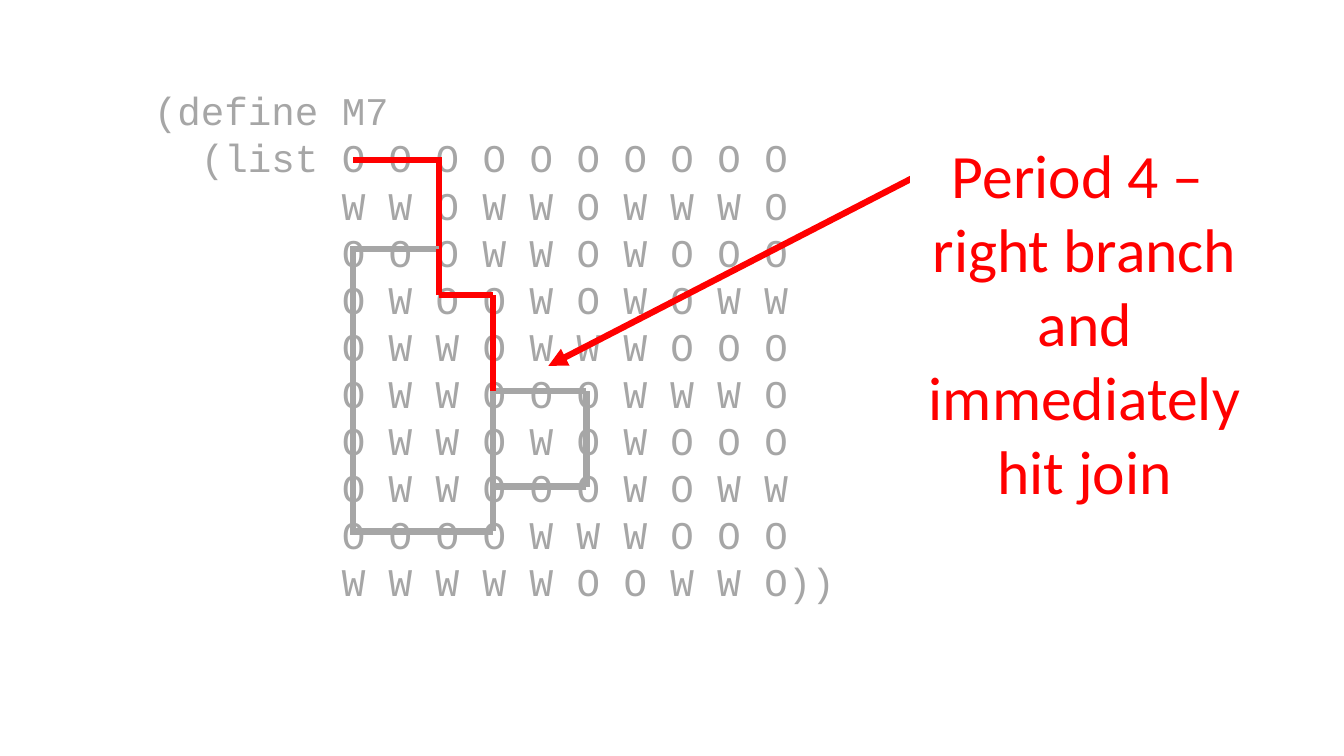
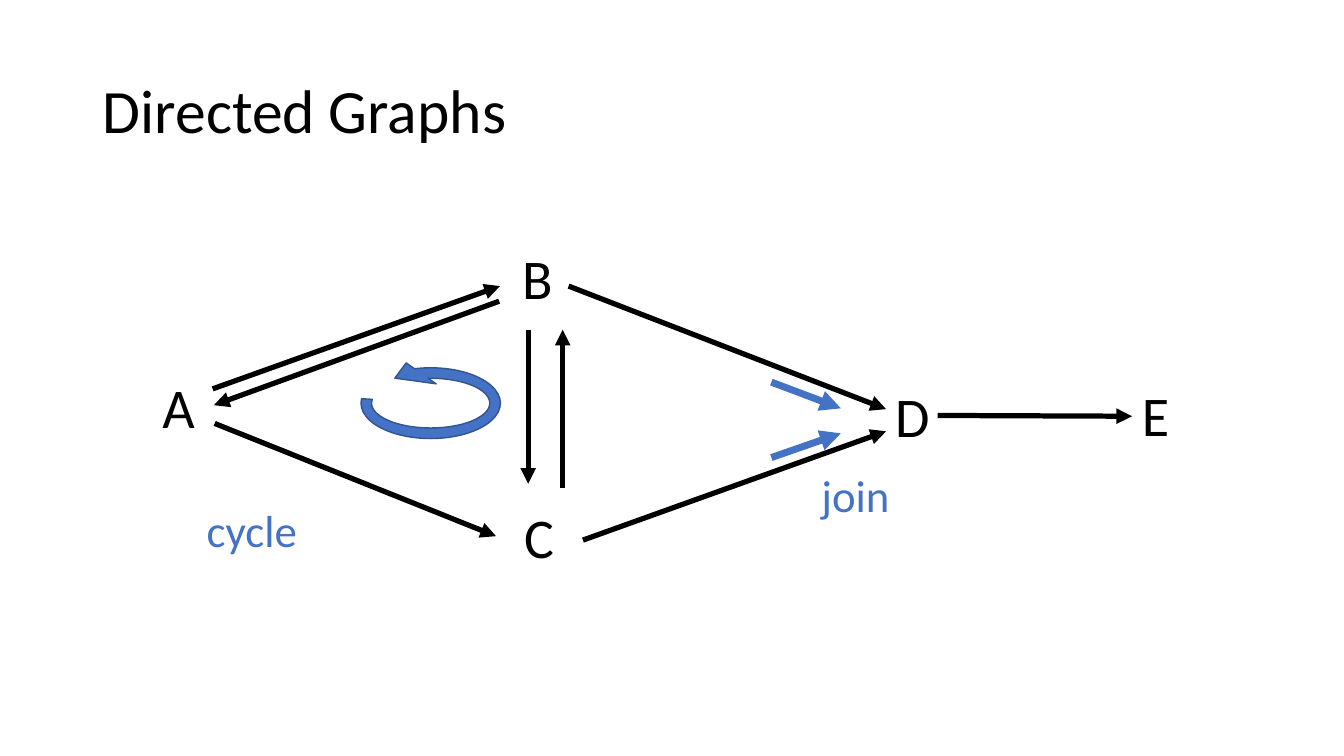
import pptx
import pptx.dml.color
import pptx.enum.shapes
import pptx.enum.text
import pptx.oxml.ns
import pptx.util
from lxml import etree

Cm = pptx.util.Cm
Pt = pptx.util.Pt
RGBColor = pptx.dml.color.RGBColor
PP_ALIGN = pptx.enum.text.PP_ALIGN
MSO_ANCHOR = pptx.enum.text.MSO_ANCHOR
MSO_SHAPE = pptx.enum.shapes.MSO_SHAPE
MSO_CONNECTOR = pptx.enum.shapes.MSO_CONNECTOR
qn = pptx.oxml.ns.qn

BLACK = RGBColor(0x00, 0x00, 0x00)
WHITE = RGBColor(0xFF, 0xFF, 0xFF)
GREY = RGBColor(0xA6, 0xA6, 0xA6)
RED = RGBColor(0xFF, 0x00, 0x00)
BLUE = RGBColor(0x44, 0x72, 0xC4)
DARK_BLUE = RGBColor(0x32, 0x54, 0x91)

BODY_FONT = "Calibri"
CODE_FONT = "Courier New"

MAZE_CODE = """(define M7
  (list O O O O O O O O O O
        W W O W W O W W W O
        O O O W W O W O O O
        O W O O W O W O W W
        O W W O W W W O O O
        O W W O O O W W W O
        O W W O W O W O O O
        O W W O O O W O W W
        O O O O W W W O O O
        W W W W W O O W W O))"""

COL_X = {0: 5.26, 2: 7.44, 3: 8.79, 5: 11.15}
ROW_Y = {0: 1.98, 2: 4.21, 3: 5.38, 5: 7.79, 7: 10.2, 8: 11.33}
CORNER = 0.08
MAZE_STEPS = [
    ((3, 7), (3, 8), GREY, 0),
    ((2, 2), (2, 0), RED, CORNER),
    ((3, 8), (0, 8), GREY, CORNER),
    ((0, 8), (0, 2), GREY, 0),
    ((2, 2), (0, 2), GREY, CORNER),
    ((5, 7), (3, 7), GREY, 0),
    ((3, 7), (3, 5), GREY, 0),
    ((5, 5), (3, 5), GREY, 0),
    ((3, 5), (3, 3), RED, 0),
    ((2, 3), (3, 3), RED, 0),
    ((2, 3), (2, 2), RED, 0),
    ((5, 7), (5, 5), GREY, 0),
    ((2, 0), (0, 0), RED, 0),
]

NODES = {
    "A": (0, 3.23),
    "B": (9.07, 0),
    "C": (9.12, 6.53),
    "D": (18.47, 3.48),
    "E": (24.69, 3.45),
}
EDGES = {
    "BA": (8.74, 1.57, 1.55, 4.19),
    "AB": (1.52, 3.78, 8.76, 1.19),
    "BD": (10.49, 1.19, 18.49, 4.29),
    "CD": (10.85, 7.59, 18.49, 4.85),
    "CB": (10.34, 6.27, 10.34, 2.29),
    "BC": (9.47, 2.29, 9.47, 6.17),
    "AC": (1.57, 4.65, 8.66, 7.49),
    "DE": (19.79, 4.45, 24.69, 4.47),
}
LABELS = {"cycle": (1.12, 6.53), "join": (16.61, 5.64)}
JOIN_ARROWS = [(15.6, 3.61, 17.35, 4.27), (15.6, 5.51, 17.35, 4.9)]
CYCLE_ADJ = (0.109, 22.378, 64.643, 105.78, 0.189)


def write(sp, text, size, color, font=BODY_FONT, align=PP_ALIGN.LEFT,
          anchor=MSO_ANCHOR.TOP, spacing=None):
    tf = sp.text_frame
    tf.text = text
    tf.word_wrap = True
    tf.vertical_anchor = anchor
    for p in tf.paragraphs:
        p.alignment = align
        p.line_spacing = spacing
        for r in p.runs:
            r.font.name = font
            r.font.size = Pt(size)
            r.font.color.rgb = color


def add_text(s, left, top, width, height, text, size, color, **style):
    sp = s.shapes.add_textbox(Cm(left), Cm(top), Cm(width), Cm(height))
    write(sp, text, size, color, **style)


def add_line(s, x1, y1, x2, y2, color, width, arrow=False):
    line = s.shapes.add_connector(
        MSO_CONNECTOR.STRAIGHT, Cm(x1), Cm(y1), Cm(x2), Cm(y2))
    line.line.color.rgb = color
    line.line.width = Pt(width)
    if arrow:
        etree.SubElement(line.line._get_or_add_ln(), qn("a:tailEnd"),
                         type="triangle")
    etree.SubElement(line._element.spPr, qn("a:effectLst"))


def add_title(s, left, top, width, height, text):
    add_text(s, left, top, width, height, text, 44, BLACK,
             anchor=MSO_ANCHOR.MIDDLE, spacing=0.9)


def add_maze(s, left, top, width, height):
    add_text(s, left, top, width, height, MAZE_CODE, 28, GREY, font=CODE_FONT)
    for (c1, r1), (c2, r2), color, overhang in MAZE_STEPS:
        dx = overhang if c1 != c2 else 0
        dy = overhang if r1 != r2 else 0
        add_line(s, left + COL_X[c1], top + ROW_Y[r1],
                 left + COL_X[c2] - dx, top + ROW_Y[r2] - dy, color, 4.5)


def add_callout(s, left, top, width, height, text):
    add_line(s, left + 0.38, top + 0.99, left - 9.12, top + 5.89, RED, 4.5,
             arrow=True)
    sp = s.shapes.add_shape(MSO_SHAPE.RECTANGLE, Cm(left), Cm(top),
                            Cm(width), Cm(height))
    sp.shadow.inherit = False
    sp.fill.solid()
    sp.fill.fore_color.rgb = WHITE
    sp.line.fill.background()
    write(sp, text, 44, RED, align=PP_ALIGN.CENTER)


def add_cycle_arrow(s, left, top, width, height):
    sp = s.shapes.add_shape(MSO_SHAPE.CIRCULAR_ARROW, Cm(left), Cm(top),
                            Cm(width), Cm(height))
    sp.shadow.inherit = False
    for i, value in enumerate(CYCLE_ADJ):
        sp.adjustments[i] = value
    sp._element.spPr.find(qn("a:xfrm")).set("flipV", "1")
    sp.fill.solid()
    sp.fill.fore_color.rgb = BLUE
    sp.line.color.rgb = DARK_BLUE
    sp.line.width = Pt(1)


def add_graph(s, left, top):
    for name, (x, y) in NODES.items():
        add_text(s, left + x, top + y, 1.8, 1.96, name, 40, BLACK)
    arrows = [(edge, BLACK, 3.75) for edge in EDGES.values()]
    arrows += [(edge, BLUE, 5) for edge in JOIN_ARROWS]
    for (x1, y1, x2, y2), color, width in arrows:
        add_line(s, left + x1, top + y1, left + x2, top + y2, color, width,
                 arrow=True)
    add_cycle_arrow(s, left + 4.93, top + 2.92, 4.17, 2.44)
    for text, (x, y) in LABELS.items():
        add_text(s, left + x, top + y, 4.8, 1.63, text, 32, BLUE)


def main():
    prs = pptx.Presentation()
    prs.slide_width = Cm(33.87)
    prs.slide_height = Cm(19.05)
    blank = prs.slide_layouts[6]

    s = prs.slides.add_slide(blank)
    add_maze(s, 3.63, 2.06, 18.67, 13.41)
    add_callout(s, 22.94, 3.33, 8.79, 9.65,
                "Period 4 – \vright branch and immediately hit join")

    s = prs.slides.add_slide(blank)
    add_graph(s, 3.84, 6.02)
    add_title(s, 2.34, 1.02, 29.21, 3.68, "Directed Graphs")

    prs.save("out.pptx")


if __name__ == "__main__":
    main()
